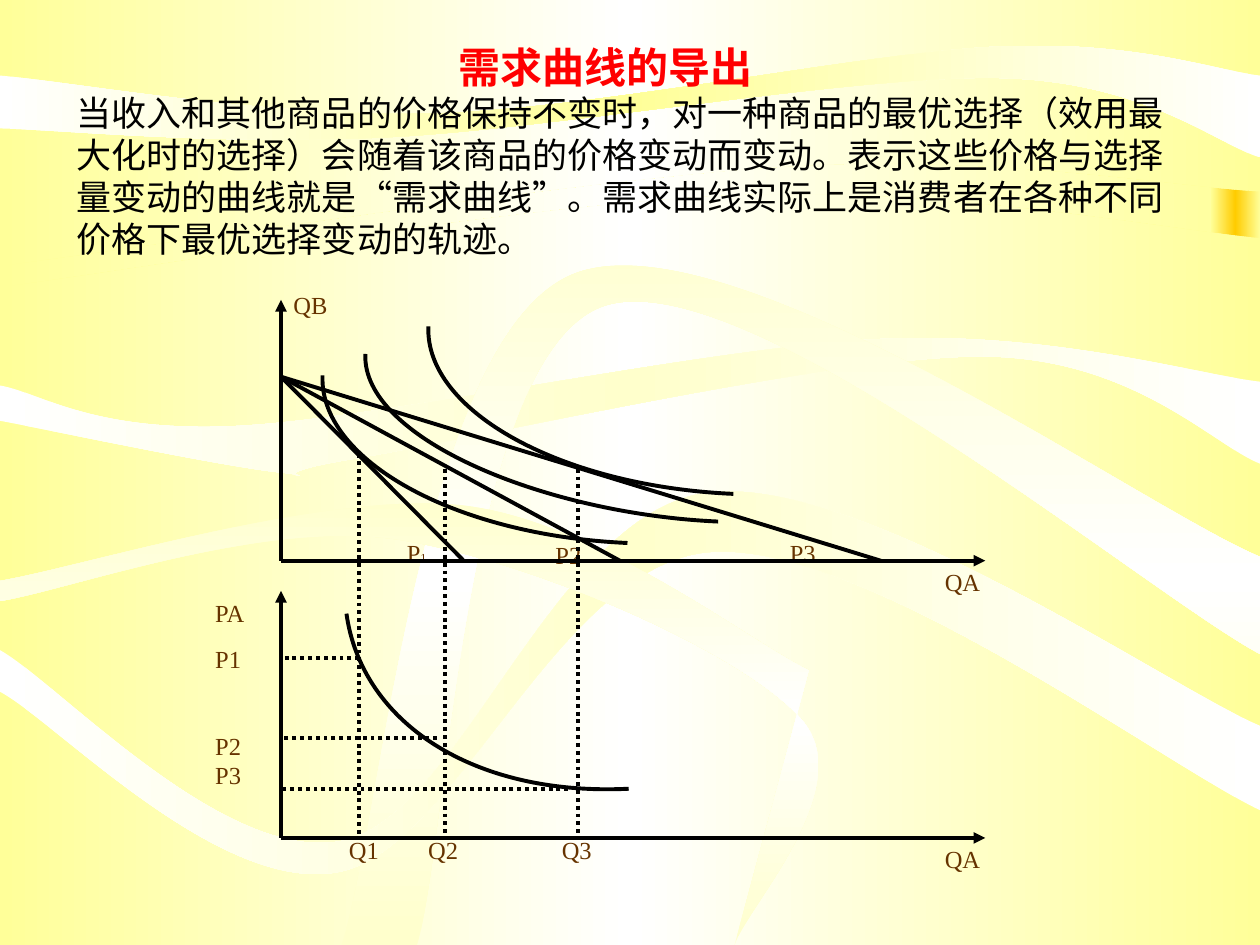
from copy import deepcopy

from pptx import Presentation
from pptx.dml.color import RGBColor
from pptx.enum.dml import MSO_LINE
from pptx.enum.shapes import MSO_CONNECTOR, MSO_SHAPE
from pptx.enum.text import MSO_ANCHOR
from pptx.oxml.ns import qn
from pptx.oxml.xmlchemy import OxmlElement
from pptx.util import Inches, Pt

YELLOW = RGBColor(0xFF, 0xFF, 0x99)
CREAM = RGBColor(0xFF, 0xFF, 0xCC)
GOLD = RGBColor(0xFF, 0xCC, 0x00)
WHITE = RGBColor(0xFF, 0xFF, 0xFF)
BLACK = RGBColor(0x00, 0x00, 0x00)
RED = RGBColor(0xFF, 0x00, 0x00)
BROWN = RGBColor(0x66, 0x33, 0x00)

RIBBONS = [
    (YELLOW, WHITE, 0, [(0, 0), (10, 0)], [(10, 1.52), (6.25, 1.32), (0, 2.11)]),
    (YELLOW, WHITE, 0, [(0, 2.28), (5.86, 1.55), (10, 1.89)], [(10, 7.5), (0, 7.5)]),
    (WHITE, YELLOW, 0, [(0, 1.02), (3.08, 1.09), (7.94, 0.62), (10, 1.25)],
     [(10, 0.6), (7.92, 0.37), (3.45, 0.9), (0, 0.6)]),
    (WHITE, CREAM, 0, [(0, 3.34), (2.22, 3.75), (2.82, 3.64), (7.8, 2.83), (10, 3.68)],
     [(10, 3.03), (7.01, 2.69), (1.9, 3.38), (0, 3.06)]),
    (CREAM, WHITE, 90, [(2.71, 7.5), (4.54, 2.18), (10, 4.42)],
     [(10, 5.19), (4.79, 2.43), (3.31, 7.5)]),
    (WHITE, CREAM, 0, [(0, 5.49), (2.69, 6.92), (5.65, 4.38), (10, 6.43)],
     [(10, 5.76), (5.62, 3.91), (2.73, 6.67), (0, 5.16)]),
    (CREAM, WHITE, 90, [(0, 4.77), (3.14, 4.28), (6.37, 5.72), (5.83, 7.5)],
     [(6.42, 5.32), (3.66, 4.01), (0, 4.61)]),
]

ORIGIN_X, AXIS_END = 2.23, 7.82
UPPER_Y, LOWER_Y = 4.45, 6.65
BODY = ("当收入和其他商品的价格保持不变时，对一种商品的最优选择（效用最大化时的选择）"
        "会随着该商品的价格变动而变动。表示这些价格与选择量变动的曲线就是“需求曲线”。"
        "需求曲线实际上是消费者在各种不同价格下最优选择变动的轨迹。")


def shift(point, move):
    return point[0] + move[0], point[1] + move[1]


def smooth(points):
    padded = [points[0], *points, points[-1]]
    segments = []
    for before, start, end, after in zip(padded, padded[1:], padded[2:], padded[3:]):
        leave = [(b - a) / 6 for a, b in zip(before, end)]
        arrive = [(a - b) / 6 for a, b in zip(start, after)]
        segments.append([shift(start, leave), shift(end, arrive), end])
    return segments


class Board:
    font = "Times New Roman"
    weight = Pt(2.25)

    def __init__(self, page):
        self.page = page

    def gradient(self, fill, holder, edge, middle, angle=0):
        fill.gradient()
        fill.gradient_angle = angle
        stops = holder.find(".//" + qn("a:gsLst"))
        stops.append(deepcopy(stops[-1]))
        for stop, color, position in zip(fill.gradient_stops, (edge, middle, edge), (0, 0.5, 1)):
            stop.color.rgb = color
            stop.position = position

    def backdrop(self, edge, middle):
        self.gradient(self.page.background.fill, self.page._element, edge, middle)

    def bar(self, left, top, width, height, edge, middle):
        shape = self.page.shapes.add_shape(
            MSO_SHAPE.RECTANGLE, *map(Inches, (left, top, width, height)))
        shape.shadow.inherit = False
        shape.line.fill.background()
        self.gradient(shape.fill, shape._element, edge, middle)

    def outline(self, start, segments, close):
        points = [tuple(map(Inches, point)) for segment in segments for point in segment]
        builder = self.page.shapes.build_freeform(*map(Inches, start), scale=1.0)
        builder.add_line_segments(points, close=close)
        shape = builder.convert_to_shape()
        shape.shadow.inherit = False
        track = shape._element.find(".//" + qn("a:path"))
        steps = iter(track.findall(qn("a:lnTo")))
        for segment in segments:
            group = [next(steps) for _ in segment]
            if len(group) == 3:
                bend = OxmlElement("a:cubicBezTo")
                group[0].addprevious(bend)
                for step in group:
                    bend.append(step[0])
                    track.remove(step)
        return shape

    def ribbon(self, edge, middle, angle, near, far):
        segments = smooth(near) + [[far[0]]] + smooth(far)
        shape = self.outline(near[0], segments, True)
        shape.line.fill.background()
        self.gradient(shape.fill, shape._element, edge, middle, angle)

    def curve(self, start, end, leave, arrive):
        shape = self.outline(start, [[shift(start, leave), shift(end, arrive), end]], False)
        shape.fill.background()
        shape.line.color.rgb = BLACK
        shape.line.width = self.weight

    def line(self, x1, y1, x2, y2, arrow=False, dotted=False):
        connector = self.page.shapes.add_connector(
            MSO_CONNECTOR.STRAIGHT, *map(Inches, (x1, y1, x2, y2)))
        connector.line.color.rgb = BLACK
        connector.line.width = self.weight
        if dotted:
            connector.line.dash_style = MSO_LINE.ROUND_DOT
        properties = connector._element.spPr
        if arrow:
            head = OxmlElement("a:tailEnd")
            head.set("type", "triangle")
            properties.find(qn("a:ln")).append(head)
        properties.append(OxmlElement("a:effectLst"))

    def box(self, left, top, width, height):
        box = self.page.shapes.add_textbox(*map(Inches, (left, top, width, height)))
        box.text_frame.word_wrap = True
        return box.text_frame

    def span(self, para, text, size=14, color=BROWN, bold=False):
        span = para.add_run()
        span.text = text
        span.font.name = self.font
        span.font.size = Pt(size)
        span.font.bold = bold
        span.font.color.rgb = color

    def label(self, left, top, text, width=0.83, height=0.49):
        para = self.box(left, top, width, height).paragraphs[0]
        self.span(para, text)
        return para

    def heading(self):
        frame = self.box(0.51, 0.28, 9.1, 1.83)
        frame.vertical_anchor = MSO_ANCHOR.MIDDLE
        title, body = frame.paragraphs[0], frame.add_paragraph()
        title._p.get_or_add_pPr().set("marL", str(Inches(3.03)))
        title.line_spacing, body.line_spacing = Pt(29), Pt(24)
        self.span(title, "需求曲线的导出", 24, RED, True)
        self.span(body, BODY, 20, BLACK)

    def quantities(self):
        para = self.label(2.67, 6.58, "Q1\tQ2\tQ3", 2.75)
        tabs = OxmlElement("a:tabLst")
        for position in (0.63, 1.69):
            tab = OxmlElement("a:tab")
            tab.set("pos", str(Inches(position)))
            tab.set("algn", "l")
            tabs.append(tab)
        para._p.get_or_add_pPr().append(tabs)

    def prices(self):
        frame = self.box(1.61, 5.06, 0.62, 1.46)
        self.span(frame.paragraphs[0], "P1")
        for text, gap in (("P2", 33), ("P3", 0)):
            para = frame.add_paragraph()
            para.space_before = Pt(gap)
            self.span(para, text)


def main():
    deck = Presentation()
    deck.slide_width, deck.slide_height = Inches(10), Inches(7.5)
    board = Board(deck.slides.add_slide(deck.slide_layouts[6]))
    board.backdrop(YELLOW, WHITE)
    board.bar(9.61, 0.49, 0.39, 3.45, YELLOW, GOLD)
    for ribbon in RIBBONS:
        board.ribbon(*ribbon)
    board.heading()

    first = board.label(3.13, 4.22, "P", 0.62, 0.37)
    board.span(first, "1", 7)
    board.label(4.31, 4.24, "P2", 0.62, 0.37)
    board.label(6.17, 4.22, "P3", 0.62, 0.37)

    for base, top in ((UPPER_Y, 2.38), (LOWER_Y, 4.69)):
        board.line(ORIGIN_X, base, ORIGIN_X, top, arrow=True)
        board.line(ORIGIN_X, base, AXIS_END, base, arrow=True)
        board.label(7.4, base, "QA")
    board.label(2.23, 2.25, "QB")
    board.label(1.61, 4.7, "PA")

    for start, end in (((2.56, 2.98), (4.98, 4.31)), ((2.9, 2.81), (5.7, 4.14)),
                       ((3.4, 2.59), (5.82, 3.92))):
        board.curve(start, end, (-0.03, 0.67), (-1.37, -0.06))
    board.curve((2.75, 4.87), (4.99, 6.26), (0.12, 0.86), (-1.24, 0.06))
    for budget_end in (3.68, 4.92, 6.99):
        board.line(ORIGIN_X, 2.99, budget_end, UPPER_Y)
    for x, tangent, price, price_end in ((2.85, 3.6, 5.22, 2.85), (3.53, 3.72, 5.86, 3.47),
                                         (4.59, 3.72, 6.26, 4.51)):
        board.line(x, tangent, x, LOWER_Y, dotted=True)
        board.line(price_end, price, ORIGIN_X, price, dotted=True)

    board.quantities()
    board.prices()
    deck.save("out.pptx")


if __name__ == "__main__":
    main()
